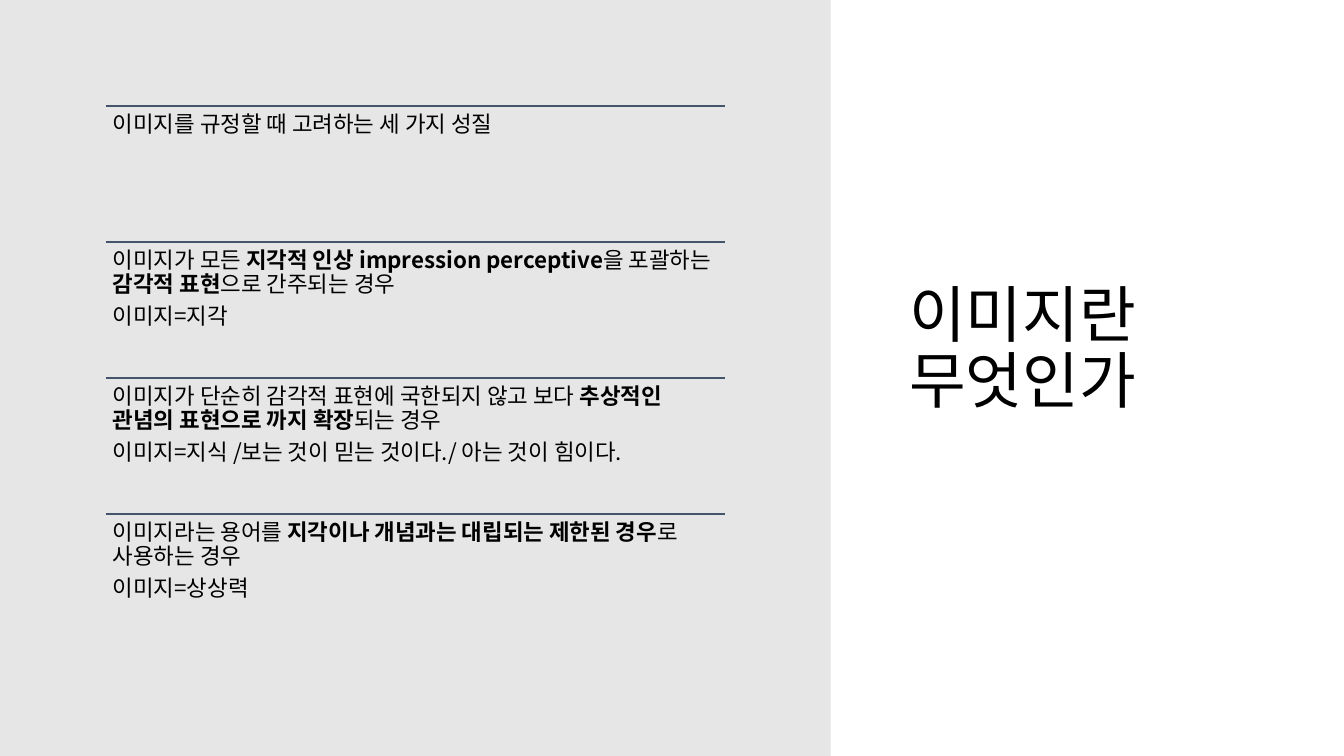
from dataclasses import dataclass

from lxml import etree
from pptx import Presentation
from pptx.dml.color import RGBColor
from pptx.enum.shapes import MSO_CONNECTOR, MSO_SHAPE
from pptx.enum.text import MSO_ANCHOR
from pptx.oxml.ns import qn
from pptx.util import Inches, Pt

RECT = MSO_SHAPE.RECTANGLE
LINE = MSO_CONNECTOR.STRAIGHT
TOP, MIDDLE = MSO_ANCHOR.TOP, MSO_ANCHOR.MIDDLE


@dataclass(frozen=True)
class Theme:
    font: str = "Noto Sans CJK KR"
    ink: RGBColor = RGBColor(0, 0, 0)
    panel: RGBColor = RGBColor(0xE7, 0xE6, 0xE6)
    rule: RGBColor = RGBColor(0x44, 0x54, 0x6A)
    title: float = 44
    body: float = 16


@dataclass(frozen=True)
class Run:
    text: str
    bold: bool = False


@dataclass(frozen=True)
class Row:
    paras: list[list[Run]]


THEME = Theme()

ROWS = [
    Row([[Run("이미지를 규정할 때 고려하는 세 가지 성질")]]),
    Row([
        [Run("이미지가 모든 "), Run("지각적 인상 impression perceptive", True),
         Run("을 포괄하는 "), Run("감각적 표현", True), Run("으로 간주되는 경우")],
        [Run("이미지=지각")],
    ]),
    Row([
        [Run("이미지가 단순히 감각적 표현에 국한되지 않고 보다 "),
         Run("추상적인 관념의 표현으로 까지 확장", True), Run("되는 경우")],
        [Run("이미지=지식 /보는 것이 믿는 것이다./ 아는 것이 힘이다.")],
    ]),
    Row([
        [Run("이미지라는 용어를 "),
         Run("지각이나 개념과는 대립되는 제한된 경우", True), Run("로 사용하는 경우")],
        [Run("이미지=상상력")],
    ]),
]


def add_text(slide, box: tuple, paras: list[list[Run]], *, size: float,
             anchor=TOP, inset: tuple = (0.07, 0.07), after: float = 0) -> None:
    frame = slide.shapes.add_textbox(*map(Inches, box)).text_frame
    frame.word_wrap = True
    frame.vertical_anchor = anchor
    frame.margin_left = frame.margin_right = Inches(inset[0])
    frame.margin_top = frame.margin_bottom = Inches(inset[1])
    for i, runs in enumerate(paras):
        para = frame.add_paragraph() if i else frame.paragraphs[0]
        para.line_spacing = 0.9
        para.space_after = Pt(after)
        for part in runs:
            run = para.add_run()
            run.text = part.text
            font = run.font
            font.name, font.size, font.bold = THEME.font, Pt(size), part.bold
            font.color.rgb = THEME.ink
            # Korean glyphs take the East Asian typeface
            east = etree.SubElement(run._r.get_or_add_rPr(), qn("a:ea"))
            east.set("typeface", THEME.font)


def add_rule(slide, left: float, top: float, width: float) -> None:
    rule = slide.shapes.add_connector(
        LINE, Inches(left), Inches(top), Inches(left + width), Inches(top))
    rule.line.color.rgb = THEME.rule
    rule.line.width = Pt(1)
    etree.SubElement(rule._element.spPr, qn("a:effectLst"))


def add_row(slide, row: Row, left: float, top: float, width: float, height: float) -> None:
    add_rule(slide, left, top, width)
    add_text(slide, (left, top, width, height), row.paras,
             size=THEME.body, after=0.35 * THEME.body)


deck = Presentation()
deck.slide_width, deck.slide_height = Inches(13.33), Inches(7.5)
slide = deck.slides.add_slide(deck.slide_layouts[6])

# Grey panel
panel = slide.shapes.add_shape(RECT, 0, 0, Inches(8.24), deck.slide_height)
panel.shadow.inherit = False
panel.fill.solid()
panel.fill.fore_color.rgb = THEME.panel
panel.line.fill.background()

# Title: one line per paragraph
add_text(slide, (8.92, 0.9, 3.5, 5.16), [[Run("이미지란")], [Run("무엇인가")]],
         size=THEME.title, anchor=MIDDLE, inset=(0.1, 0.05))

# Ruled rows, evenly stacked
LEFT, START, WIDTH, STEP = 1.05, 1.05, 6.14, 1.35
for i, row in enumerate(ROWS):
    add_row(slide, row, LEFT, START + i * STEP, WIDTH, STEP)

deck.save("out.pptx")
